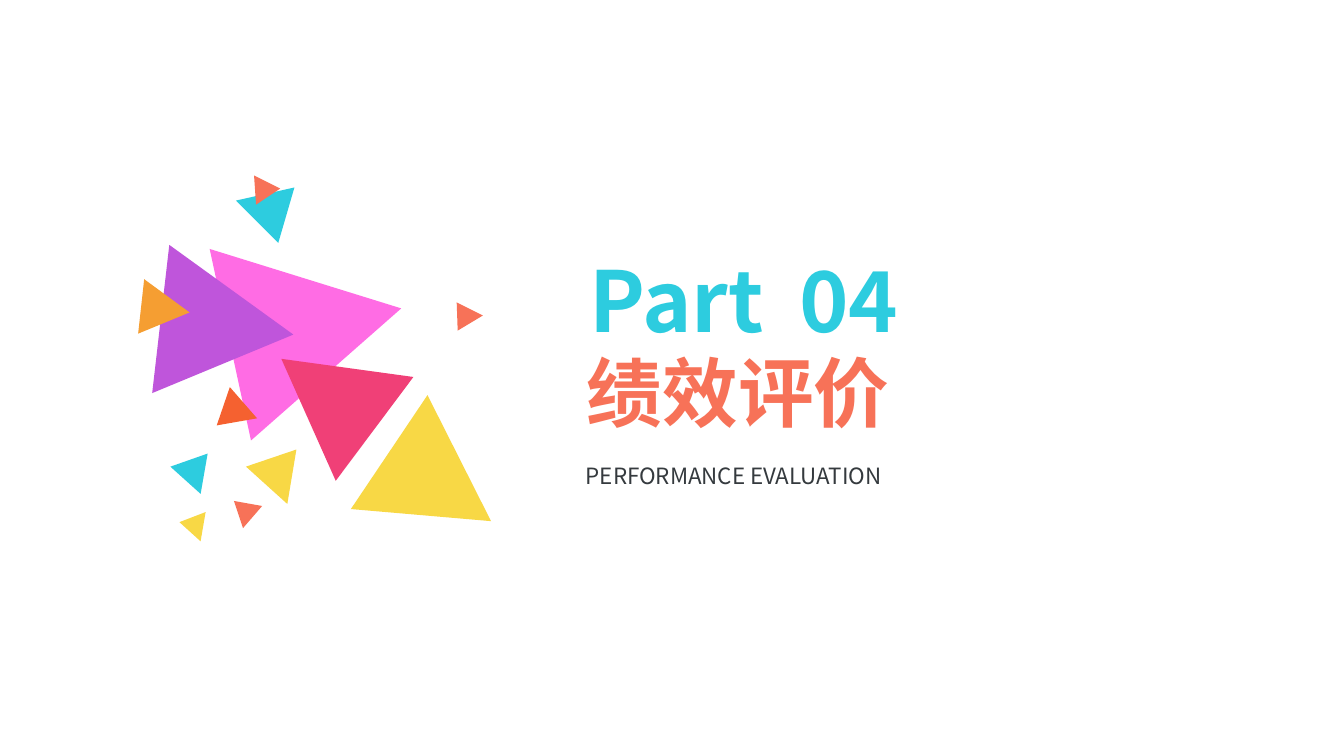
import pptx
import pptx.dml.color
import pptx.enum.text
import pptx.oxml.ns
import pptx.util
from lxml import etree

Inches = pptx.util.Inches

COLOURS = {
    "cyan": "2DCCDF",
    "pink": "FF6CE4",
    "purple": "BF55DB",
    "amber": "F59E32",
    "orange": "F56130",
    "yellow": "F8D845",
    "coral": "F77258",
    "crimson": "F04077",
    "ink": "353A3E",
}

# Colour and three corners in inches, from back to front.
TRIANGLES = [
    ("cyan", (2.92, 1.86), (2.76, 2.41), (2.34, 1.99)),
    ("pink", (2.49, 4.37), (2.08, 2.47), (3.98, 3.06)),
    ("purple", (1.51, 3.9), (1.68, 2.43), (2.91, 3.32)),
    ("amber", (1.37, 3.31), (1.43, 2.77), (1.88, 3.1)),
    ("orange", (2.15, 4.22), (2.28, 3.84), (2.55, 4.15)),
    ("cyan", (1.69, 4.63), (2.06, 4.5), (1.99, 4.9)),
    ("yellow", (1.78, 5.18), (2.04, 5.08), (1.99, 5.37)),
    ("coral", (2.41, 5.24), (2.32, 4.97), (2.6, 5.02)),
    ("yellow", (2.44, 4.63), (2.94, 4.46), (2.85, 5)),
    ("yellow", (3.48, 5.05), (4.24, 3.92), (4.87, 5.17)),
    ("crimson", (4.1, 3.74), (3.33, 4.77), (2.79, 3.56)),
    ("coral", (4.54, 3.28), (4.53, 3), (4.79, 3.13)),
    ("coral", (2.54, 2.03), (2.52, 1.74), (2.78, 1.87)),
]


class SectionSlide:
    font_name = "Noto Sans CJK SC"

    def __init__(self, deck):
        self.slide = deck.slides.add_slide(deck.slide_layouts[0])

    def colour(self, name):
        return pptx.dml.color.RGBColor.from_string(COLOURS[name])

    def triangle(self, colour, *corners):
        points = [(Inches(x), Inches(y)) for x, y in corners]
        builder = self.slide.shapes.build_freeform(*points[0])
        builder.add_line_segments(points[1:], close=True)
        shape = builder.convert_to_shape()
        shape.shadow.inherit = False
        shape.fill.solid()
        shape.fill.fore_color.rgb = self.colour(colour)
        shape.line.fill.background()

    def text_box(self, text, place, size, colour, bold=False, tab=None):
        box = self.slide.shapes.add_textbox(*map(Inches, place))
        self.set_line(box, text, place, size, colour, bold, tab)

    def set_line(self, box, text, place, size, colour, bold=False, tab=None):
        """Place a text box or placeholder and fill it with one styled line."""
        box.left, box.top, box.width, box.height = map(Inches, place)
        frame = box.text_frame
        frame.text = text
        frame.word_wrap = True
        frame.auto_size = pptx.enum.text.MSO_AUTO_SIZE.NONE
        frame.vertical_anchor = pptx.enum.text.MSO_ANCHOR.MIDDLE
        para = frame.paragraphs[0]
        para.alignment = pptx.enum.text.PP_ALIGN.LEFT
        para.line_spacing = 1.0
        para.space_before = pptx.util.Pt(0)
        qn = pptx.oxml.ns.qn
        if tab:
            tabs = etree.SubElement(para._p.get_or_add_pPr(), qn("a:tabLst"))
            etree.SubElement(tabs, qn("a:tab"), pos=str(Inches(tab)), algn="l")
        font = para.font
        font.name = self.font_name
        font.size = pptx.util.Pt(size)
        font.bold = bold
        font.color.rgb = self.colour(colour)
        # East Asian glyphs take their typeface from a separate element.
        latin = para._p.pPr.find(qn("a:defRPr")).find(qn("a:latin"))
        latin.addnext(etree.Element(qn("a:ea"), typeface=self.font_name))


def main():
    deck = pptx.Presentation()
    deck.slide_width, deck.slide_height = Inches(13.33), Inches(7.5)
    page = SectionSlide(deck)
    for triangle in TRIANGLES:
        page.triangle(*triangle)
    page.text_box("Part\t04", (5.75, 2.41, 4.5, 1.11), 60, "cyan", True, tab=2.08)
    title, subtitle = page.slide.placeholders
    page.set_line(title, "绩效评价", (5.72, 3.38, 6.82, 1.01), 54, "coral", True)
    page.set_line(subtitle, "PERFORMANCE EVALUATION", (5.71, 4.53, 6.62, 0.37), 16, "ink")
    deck.save("out.pptx")


if __name__ == "__main__":
    main()
